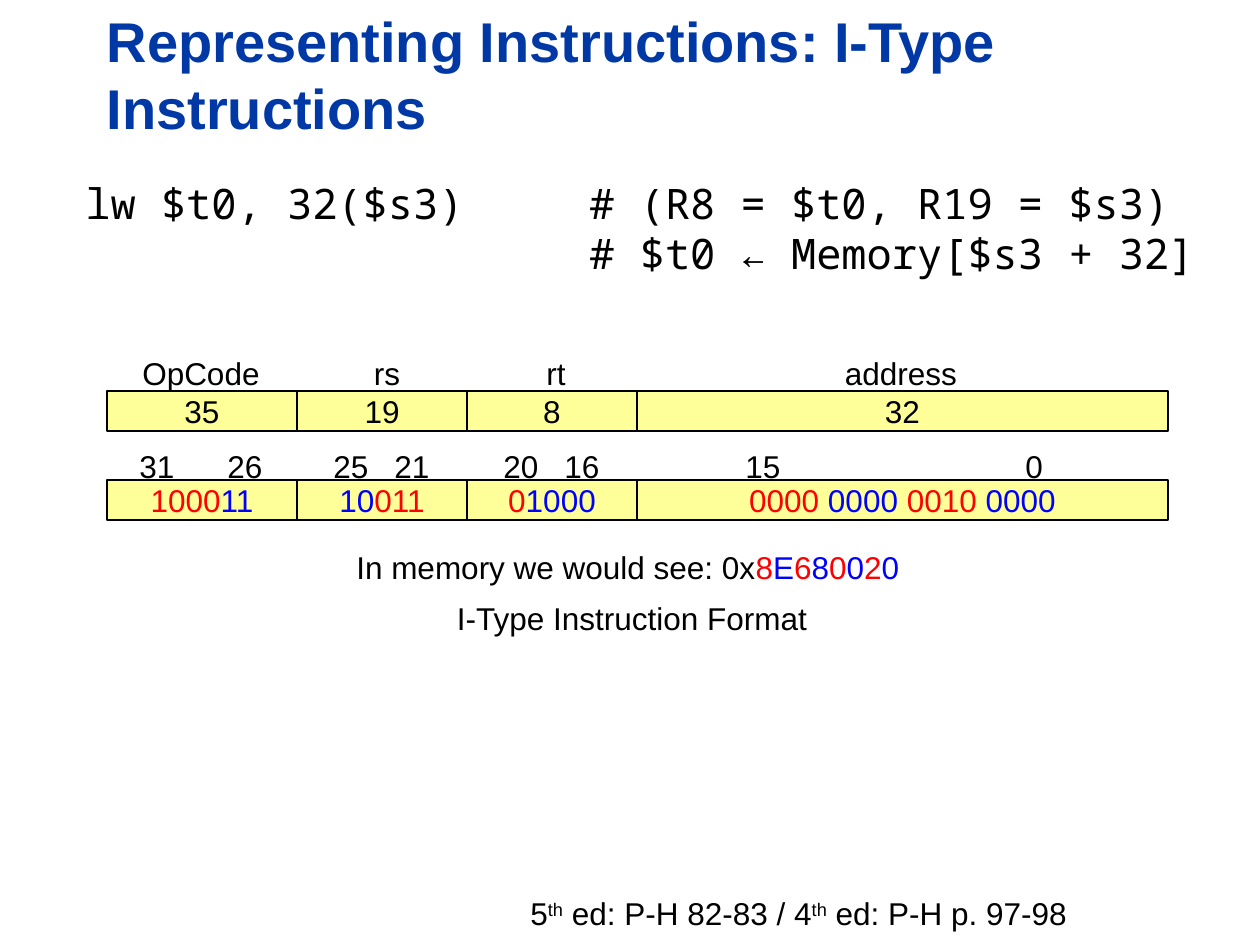
"""Build the slide on the encoding of I-type instructions."""
from pptx import Presentation, util as u
from pptx.dml.color import RGBColor
from pptx.enum import shapes, text
from pptx.oxml.ns import qn
from lxml import etree

PX = 914400 // 126
COLORS = {"black": "000000", "red": "FF0000", "blue": "0000FF",
          "title": "0039A6", "cell": "FFFF99"}


def add_runs(paragraph, runs, size=18, font="Arial", bold=False):
    """Add (text, colour) runs to a paragraph."""
    for content, color in runs:
        run = paragraph.add_run()
        run.text = content
        run.font.size = u.Pt(size)
        run.font.name = font
        run.font.bold = bold
        run.font.color.rgb = RGBColor.from_string(COLORS[color])


def add_box(left, top, width, height, align="LEFT", tab=0, lines=1):
    """Add a text box and return its paragraphs, with an optional tab stop."""
    box = slide.shapes.add_textbox(left * PX, top * PX, width * PX, height * PX)
    frame = box.text_frame
    frame.word_wrap = lines > 1
    frame.vertical_anchor = text.MSO_ANCHOR.MIDDLE
    for _ in range(lines - 1):
        frame.add_paragraph()
    for paragraph in frame.paragraphs:
        paragraph.alignment = getattr(text.PP_ALIGN, align)
        if tab:
            tabs = etree.SubElement(paragraph._p.get_or_add_pPr(), qn("a:tabLst"))
            etree.SubElement(tabs, qn("a:tab"), pos=str(tab * PX), algn="l")
    return frame.paragraphs


presentation = Presentation()
presentation.slide_width = u.Inches(10)
presentation.slide_height = u.Inches(7.5)
slide = presentation.slides.add_slide(presentation.slide_layouts[5])

title = slide.shapes.title
title.left, title.top, title.width, title.height = 94 * PX, 0, 1138 * PX, 147 * PX
title.text_frame.vertical_anchor = text.MSO_ANCHOR.BOTTOM
title.text_frame.auto_size = text.MSO_AUTO_SIZE.NONE
heading = title.text_frame.paragraphs[0]
heading.alignment = text.PP_ALIGN.LEFT
add_runs(heading, [("Representing Instructions: I-Type Instructions", "title")],
         size=32, bold=True)

code = ["lw $t0, 32($s3)\t# (R8 = $t0, R19 = $s3)",
        "\t# $t0 ← Memory[$s3 + 32]"]
paragraphs = add_box(73, 185, 1160, 86, tab=504, lines=len(code))
for paragraph, line in zip(paragraphs, code):
    add_runs(paragraph, [(line, "black")], size=24, font="Noto Sans Mono")

edges = [107, 297, 467, 637, 1168]
values = [[("35", "black")], [("19", "black")], [("8", "black")], [("32", "black")]]
binary = [
    [("1000", "red"), ("11", "blue")],
    [("10", "blue"), ("011", "red")],
    [("0", "red"), ("1000", "blue")],
    [("0000 ", "red"), ("0000 ", "blue"), ("0010 ", "red"), ("0000", "blue")],
]
for top, row in [(391, values), (480, binary)]:
    for left, right, runs in zip(edges, edges[1:], row):
        cell = slide.shapes.add_shape(shapes.MSO_SHAPE.RECTANGLE, left * PX,
                                      top * PX, (right - left) * PX, 40 * PX)
        cell.shadow.inherit = False
        cell.fill.solid()
        cell.fill.fore_color.rgb = RGBColor.from_string(COLORS["cell"])
        cell.line.color.rgb = RGBColor.from_string(COLORS["black"])
        cell.line.width = u.Pt(0.75)
        cell.text_frame.word_wrap = False
        cell.text_frame.vertical_anchor = text.MSO_ANCHOR.MIDDLE
        cell.text_frame.paragraphs[0].alignment = text.PP_ALIGN.CENTER
        add_runs(cell.text_frame.paragraphs[0], runs)

for label, left, top, width in [("OpCode", 121, 348, 160), ("rs", 356, 348, 62),
                                ("rt", 526, 348, 60), ("address", 821, 348, 160),
                                ("I-Type Instruction Format", 432, 593, 400)]:
    add_runs(add_box(left, top, width, 50, "CENTER")[0], [(label, "black")])

for high, low, left, tab in [(31, 26, 127, 88), (25, 21, 321, 61),
                             (20, 16, 491, 61), (15, 0, 733, 280)]:
    paragraph = add_box(left, 441, tab + 70, 50, tab=tab)[0]
    add_runs(paragraph, [(f"{high}\t{low}", "black")])

memory = [("In memory we would see: 0x", "black")]
memory += [(digit, ("red", "blue")[index % 2])
           for index, digit in enumerate("8E680020")]
add_runs(add_box(344, 542, 580, 50)[0], memory)

reference = add_box(518, 888, 580, 50)[0]
add_runs(reference, [(part, "black") for part in
                     ("5", "th", " ed: P-H 82-83 / 4", "th", " ed: P-H p. 97-98")])
for run in reference.runs[1::2]:
    run._r.get_or_add_rPr().set("baseline", "30000")

presentation.save("out.pptx")
